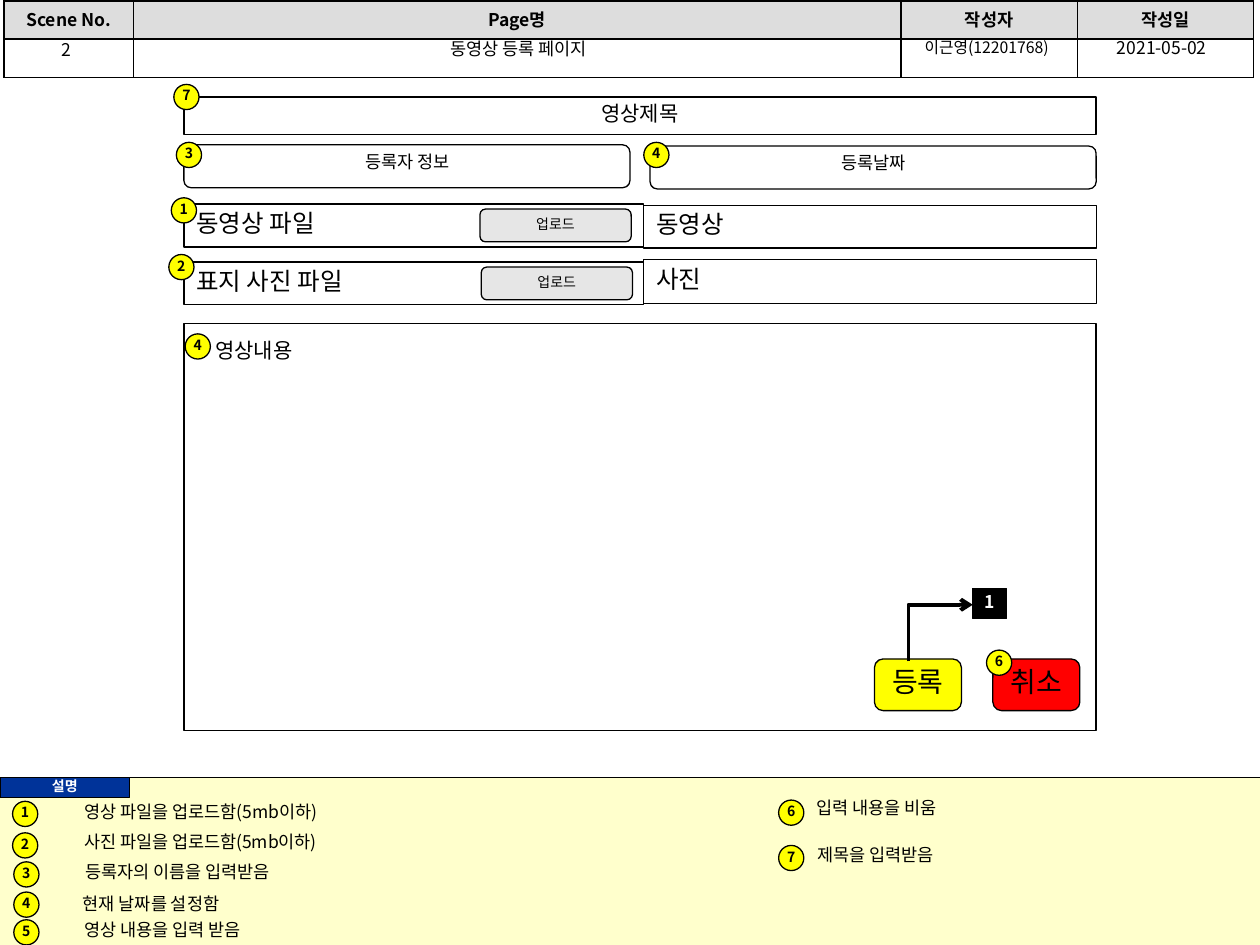
import pptx
import pptx.util
import pptx.dml.color
import pptx.enum.shapes
import pptx.enum.text
import pptx.oxml.ns
from lxml import etree

Inches = pptx.util.Inches
Pt = pptx.util.Pt
SHAPE = pptx.enum.shapes.MSO_SHAPE
ALIGN = pptx.enum.text.PP_ALIGN
ANCHOR = pptx.enum.text.MSO_ANCHOR
qn = pptx.oxml.ns.qn

FONT = "Noto Sans CJK KR"
COLORS = {
    "black": "000000", "white": "FFFFFF", "header": "DDDDDD",
    "button": "E6E6E6", "yellow": "FFFF00", "red": "FF0000",
    "navy": "003399", "cream": "FFFFCC",
}


def rgb(name):
    return pptx.dml.color.RGBColor.from_string(COLORS[name])


def write(frame, text, size, align=ALIGN.LEFT, color="black", bold=False, hanging=False):
    frame.text = text
    paragraph = frame.paragraphs[0]
    paragraph.alignment = align
    paragraph.line_spacing = 0.8
    paragraph.space_before = Pt(0)
    properties = paragraph._p.get_or_add_pPr()
    indent = Inches(0.2) if hanging else 0
    properties.set("marL", str(indent))
    properties.set("indent", str(-indent))
    etree.SubElement(properties, qn("a:buNone"))
    for run in paragraph.runs:
        run.font.size = Pt(size)
        run.font.bold = bold
        run.font.color.rgb = rgb(color)
        run.font.name = FONT
        etree.SubElement(run.font._element, qn("a:ea"), typeface=FONT)


def place(shape, left, top, width, height):
    shape.left, shape.top = Inches(left), Inches(top)
    shape.width, shape.height = Inches(width), Inches(height)


def add_box(slide, kind, left, top, width, height, fill=None, outline=True):
    box = slide.shapes.add_shape(kind, Inches(left), Inches(top), Inches(width), Inches(height))
    box.shadow.inherit = False
    if fill:
        box.fill.solid()
        box.fill.fore_color.rgb = rgb(fill)
    else:
        box.fill.background()
    if outline:
        box.line.color.rgb = rgb("black")
        box.line.width = Pt(0.75)
    else:
        box.line.fill.background()
    return box


def add_labelled(slide, kind, area, text, size, fill=None, align=ALIGN.CENTER,
                 color="black", bold=False, tight=False):
    box = add_box(slide, kind, *area, fill=fill)
    frame = box.text_frame
    frame.vertical_anchor = ANCHOR.MIDDLE
    frame.word_wrap = not tight
    if tight:
        frame.margin_left = frame.margin_right = frame.margin_top = frame.margin_bottom = 0
    write(frame, text, size, align, color, bold)


def add_badge(slide, number, left, top):
    add_labelled(slide, SHAPE.OVAL, (left, top, 0.2, 0.2), number, 8,
                 fill="yellow", bold=True, tight=True)


def add_text(slide, area, text, size=10, align=ALIGN.LEFT, hanging=False):
    box = slide.shapes.add_textbox(*(Inches(value) for value in area))
    box.text_frame.word_wrap = True
    write(box.text_frame, text, size, align, hanging=hanging)


def fill_placeholder(holder, area, text, align=ALIGN.LEFT, hanging=False):
    place(holder, *area)
    frame = holder.text_frame
    frame.auto_size = pptx.enum.text.MSO_AUTO_SIZE.NONE
    frame.vertical_anchor = ANCHOR.TOP
    frame.word_wrap = True
    write(frame, text, 10, align, hanging=hanging)
    holder.element.getparent().append(holder.element)


def add_line(slide, kind, begin, end, width):
    points = [Inches(value) for value in begin + end]
    line = slide.shapes.add_connector(kind, *points)
    line.line.color.rgb = rgb("black")
    line.line.width = Pt(width)
    etree.SubElement(line.element.spPr, qn("a:effectLst"))
    return line


def add_submit_arrow(slide):
    arrow = add_line(slide, pptx.enum.shapes.MSO_CONNECTOR.ELBOW, (7.69, 5.28), (7.24, 4.77), 2.25)
    properties = arrow.element.spPr
    properties.find(qn("a:prstGeom")).set("prst", "bentConnector2")
    properties.find(qn("a:xfrm")).set("rot", "5400000")
    etree.SubElement(properties.find(qn("a:ln")), qn("a:tailEnd"), type="arrow")


def border_cell(cell):
    properties = cell._tc.get_or_add_tcPr()
    for position, side in enumerate(("lnL", "lnR", "lnT", "lnB")):
        edge = etree.Element(qn("a:" + side), w=str(Pt(1)))
        solid = etree.SubElement(edge, qn("a:solidFill"))
        etree.SubElement(solid, qn("a:srgbClr"), val=COLORS["black"])
        properties.insert(position, edge)


def add_header_table(slide):
    headings = ("Scene No.", "Page명", "작성자", "작성일")
    table = slide.shapes.add_table(2, 4, Inches(0.03), Inches(0.01), Inches(9.92), Inches(0.6)).table
    for column, width in zip(table.columns, (1.03, 6.09, 1.4, 1.4)):
        column.width = Inches(width)
    for row in table.rows:
        row.height = Inches(0.3)
    for index, heading in enumerate(headings):
        head, blank = table.cell(0, index), table.cell(1, index)
        head.fill.solid()
        head.fill.fore_color.rgb = rgb("header")
        head.vertical_anchor = ANCHOR.MIDDLE
        write(head.text_frame, heading, 10, ALIGN.CENTER, bold=True)
        blank.fill.background()
        blank.margin_top = blank.margin_bottom = 0
        border_cell(head)
        border_cell(blank)


def add_page_frame(slide):
    title, first_note = slide.shapes.title, slide.placeholders[1]
    add_box(slide, SHAPE.RECTANGLE, 0, 6.17, 10, 1.33, "cream", outline=False)
    add_header_table(slide)
    add_line(slide, pptx.enum.shapes.MSO_CONNECTOR.STRAIGHT, (0, 6.17), (10, 6.17), 0.75)
    add_labelled(slide, SHAPE.RECTANGLE, (0, 6.17, 1.03, 0.16), "설명", 8,
                 fill="navy", color="white", bold=True, tight=True)
    fill_placeholder(first_note, (0.57, 6.34, 9.25, 0.26), "영상 파일을 업로드함(5mb이하)", hanging=True)
    fill_placeholder(title, (1.11, 0.28, 6.01, 0.26), "동영상 등록 페이지", ALIGN.CENTER)
    add_text(slide, (0, 0.29, 1.06, 0.26), "2", align=ALIGN.CENTER)
    add_text(slide, (7.17, 0.28, 1.32, 0.26), "이근영(12201768)", 9, ALIGN.CENTER)
    add_text(slide, (8.56, 0.28, 1.32, 0.26), "2021-05-02", align=ALIGN.CENTER)


def add_form(slide):
    add_labelled(slide, SHAPE.RECTANGLE, (1.46, 0.77, 7.24, 0.3), "영상제목", 12)
    for left, top, text in ((1.46, 1.15, "등록자 정보"), (5.16, 1.16, "등록날짜")):
        add_box(slide, SHAPE.ROUNDED_RECTANGLE, left, top, 3.54, 0.34)
        add_text(slide, (left + 0.08, top + 0.03, 3.39, 0.27), text, align=ALIGN.CENTER)
    fields = (
        (1.46, 1.62, 3.65, 0.34, "동영상 파일"), (1.46, 2.08, 3.65, 0.34, "표지 사진 파일"),
        (5.11, 1.63, 3.59, 0.34, "동영상"), (5.11, 2.06, 3.59, 0.35, "사진"),
    )
    for *area, text in fields:
        add_labelled(slide, SHAPE.RECTANGLE, area, text, 14, align=ALIGN.LEFT)
    for left, top in ((3.81, 1.66), (3.82, 2.12)):
        add_labelled(slide, SHAPE.ROUNDED_RECTANGLE, (left, top, 1.2, 0.26), "업로드", 8, "button")
    add_box(slide, SHAPE.RECTANGLE, 1.46, 2.57, 7.24, 3.23)
    add_text(slide, (1.61, 2.67, 6.95, 0.3), "영상내용", 12)
    for left, text, fill in ((6.94, "등록", "yellow"), (7.88, "취소", "red")):
        add_labelled(slide, SHAPE.ROUNDED_RECTANGLE, (left, 5.23, 0.69, 0.41), text, 16, fill, tight=True)
    add_labelled(slide, SHAPE.RECTANGLE, (7.72, 4.67, 0.27, 0.24), "1", 10,
                 fill="black", color="white", bold=True, tight=True)
    add_submit_arrow(slide)
    badges = (
        ("1", 1.36, 1.57), ("2", 1.34, 2.02), ("3", 1.4, 1.13), ("4", 5.11, 1.13),
        ("4", 1.47, 2.65), ("6", 7.83, 5.16), ("7", 1.38, 0.67),
    )
    for badge in badges:
        add_badge(slide, *badge)


def add_notes_list(slide):
    add_badge(slide, "1", 0.1, 6.36)
    notes = (
        ("2", 0.1, 6.61, 0.57, 6.58, 9.25, "사진 파일을 업로드함(5mb이하)"),
        ("3", 0.11, 6.84, 0.58, 6.82, 9.25, "등록자의 이름을 입력받음"),
        ("4", 0.11, 7.08, 0.56, 7.07, 9.25, "현재 날짜를 설정함"),
        ("5", 0.11, 7.3, 0.57, 7.28, 9.25, "영상 내용을 입력 받음"),
        ("6", 6.18, 6.35, 6.38, 6.31, 3.5, "입력 내용을 비움"),
        ("7", 6.18, 6.71, 6.39, 6.68, 3.5, "제목을 입력받음"),
    )
    for number, badge_left, badge_top, left, top, width, text in notes:
        add_badge(slide, number, badge_left, badge_top)
        add_text(slide, (left, top, width, 0.26), text, hanging=True)


def main():
    deck = pptx.Presentation()
    deck.slide_width, deck.slide_height = Inches(10), Inches(7.5)
    slide = deck.slides.add_slide(deck.slide_layouts[1])
    add_page_frame(slide)
    add_form(slide)
    add_notes_list(slide)
    deck.save("out.pptx")


main()
